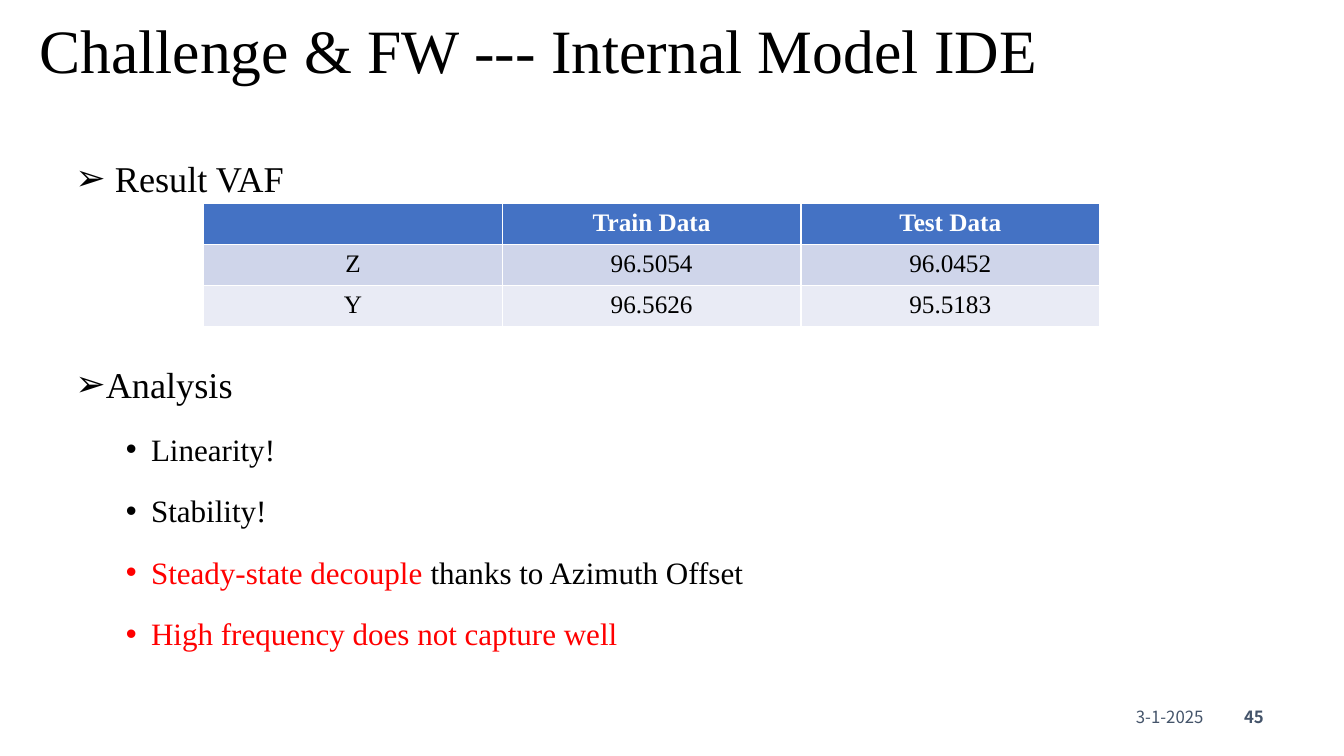
from lxml import etree
from pptx import Presentation
from pptx.dml.color import RGBColor
from pptx.enum import text as t
from pptx.oxml import ns
from pptx.util import Pt

BLACK = RGBColor(0x00, 0x00, 0x00)
WHITE = RGBColor(0xFF, 0xFF, 0xFF)
RED = RGBColor(0xFF, 0x00, 0x00)
SLATE = RGBColor(0x44, 0x54, 0x6A)
HEADER_BLUE = RGBColor(0x44, 0x72, 0xC4)
BAND_DARK = RGBColor(0xCF, 0xD5, 0xEA)
BAND_LIGHT = RGBColor(0xE9, 0xEB, 0xF5)

SERIF = "Times New Roman"
SANS = "Noto Sans CJK SC"

VAF_ROWS = [
    ("", "Train Data", "Test Data"),
    ("Z", "96.5054", "96.0452"),
    ("Y", "96.5626", "95.5183"),
]

# Level, space before in points, runs
HEADING, POINT = 2, 3
OUTLINE = [
    (HEADING, 0, [(" Result VAF", BLACK)]),
    (HEADING, 101, [("Analysis", BLACK)]),
    (POINT, 4, [("Linearity!", BLACK)]),
    (POINT, 4, [("Stability!", BLACK)]),
    (POINT, 4, [("Steady-state decouple", RED), (" thanks to Azimuth Offset", BLACK)]),
    (POINT, 4, [("High frequency does not capture well", RED)]),
]
# Bullet, text size, left margin in points
LEVELS = {HEADING: ("➢", 25.9, 90), POINT: ("•", 22.2, 126)}


class ResultSlide:
    def __init__(self, deck):
        self.slide = deck.slides.add_slide(deck.slide_layouts[5])

    def run(self, paragraph, wording, size, color, font=SERIF, bold=False):
        run = paragraph.add_run()
        run.text = wording
        run.font.name = font
        run.font.size = Pt(size)
        run.font.bold = bold
        run.font.color.rgb = color

    def bullet(self, paragraph, char, margin):
        props = paragraph._p.get_or_add_pPr()
        props.set("marL", str(Pt(margin)))
        props.set("indent", str(Pt(-18)))
        etree.SubElement(props, ns.qn("a:buFont")).set("typeface", "Arial")
        etree.SubElement(props, ns.qn("a:buChar")).set("char", char)

    def title(self, wording, left, top, width, height):
        title = self.slide.shapes.title
        title.left, title.top = Pt(left), Pt(top)
        title.width, title.height = Pt(width), Pt(height)
        frame = title.text_frame
        frame.auto_size = t.MSO_AUTO_SIZE.NONE
        frame.vertical_anchor = t.MSO_ANCHOR.MIDDLE
        heading = frame.paragraphs[0]
        heading.alignment = t.PP_ALIGN.LEFT
        heading.line_spacing = 0.9
        self.run(heading, wording, 44, BLACK)

    def text_frame(self, left, top, width, height):
        box = self.slide.shapes.add_textbox(Pt(left), Pt(top), Pt(width), Pt(height))
        return box.text_frame

    def outline(self, items, left, top, width, height):
        frame = self.text_frame(left, top, width, height)
        frame.word_wrap = True
        for index, (level, space, runs) in enumerate(items):
            item = frame.add_paragraph() if index else frame.paragraphs[0]
            char, size, margin = LEVELS[level]
            item.level = level
            self.bullet(item, char, margin)
            item.line_spacing = 1.5
            item.space_before = Pt(space)
            for wording, color in runs:
                self.run(item, wording, size, color)

    def table(self, rows, left, top, width, height):
        grid = self.slide.shapes.add_table(
            len(rows), len(rows[0]), Pt(left), Pt(top), Pt(width), Pt(height)).table
        fills = [HEADER_BLUE, BAND_DARK, BAND_LIGHT]
        for r, (values, fill) in enumerate(zip(rows, fills)):
            for c, value in enumerate(values):
                cell = grid.cell(r, c)
                cell.fill.solid()
                cell.fill.fore_color.rgb = fill
                if value:
                    entry = cell.text_frame.paragraphs[0]
                    entry.alignment = t.PP_ALIGN.CENTER
                    self.run(entry, value, 18, BLACK if r else WHITE, bold=r == 0)

    def footer(self, wording, left, width, bold=False):
        frame = self.text_frame(left, 504.7, width, 14.4)
        frame.word_wrap = False
        frame.auto_size = t.MSO_AUTO_SIZE.SHAPE_TO_FIT_TEXT
        frame.vertical_anchor = t.MSO_ANCHOR.MIDDLE
        frame.margin_left = frame.margin_right = 0
        frame.margin_top = frame.margin_bottom = 0
        entry = frame.paragraphs[0]
        entry.alignment = t.PP_ALIGN.RIGHT
        self.run(entry, wording, 12, SLATE, SANS, bold)


def main():
    deck = Presentation()
    deck.slide_width, deck.slide_height = Pt(960), Pt(540)
    slide = ResultSlide(deck)
    slide.footer("3-1-2025", 799.2, 60.5)
    slide.footer("45", 879.8, 23, bold=True)
    slide.title("Challenge & FW --- Internal Model IDE", 21, 8.6, 828, 59)
    slide.outline(OUTLINE, -25.2, 92.2, 905.8, 370)
    slide.table(VAF_ROWS, 145.5, 145.5, 640, 87.8)
    deck.save("out.pptx")


if __name__ == "__main__":
    main()
